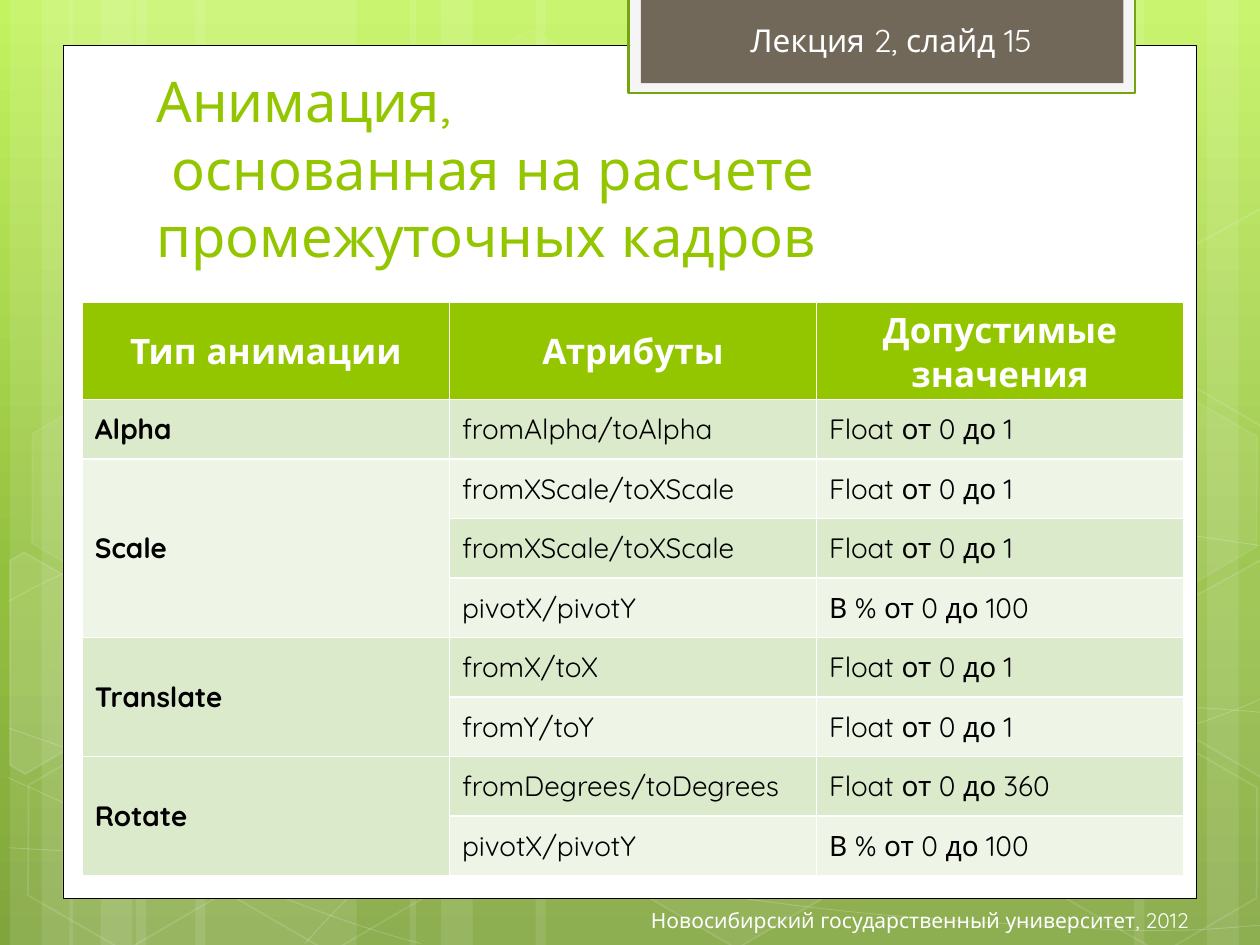
from copy import deepcopy

from pptx import Presentation
from pptx.dml.color import RGBColor
from pptx.enum.shapes import MSO_SHAPE as Shape
from pptx.enum.text import MSO_ANCHOR as Anchor, MSO_AUTO_SIZE as AutoSize, PP_ALIGN as Align
from pptx.oxml import parse_xml
from pptx.oxml.ns import nsdecls, qn
from pptx.util import Cm, Pt

rgb = RGBColor.from_string
WHITE, GREEN = "FFFFFF", "94C600"


def paint(shape, fill=None, opacity=100, line=None, width=1, line_opacity=100):
    shape.shadow.inherit = False
    for part, color in ((shape.fill, fill), (shape.line.fill, line)):
        if color:
            part.solid()
            part.fore_color.rgb = rgb(color)
        else:
            part.background()
    if line:
        shape.line.width = Pt(width)
    properties = shape.element.spPr
    for route, percent in (("a:solidFill", opacity), ("a:ln/a:solidFill", line_opacity)):
        solid = properties.find("/".join(qn(tag) for tag in route.split("/")))
        if solid is not None and percent < 100:
            solid[0].append(parse_xml(f'<a:alpha {nsdecls("a")} val="{percent * 1000}"/>'))


def write(frame, text, size, color=WHITE, bold=False, align=Align.LEFT, anchor=Anchor.TOP):
    frame.text = text
    frame.word_wrap = True
    frame.vertical_anchor = anchor
    para = frame.paragraphs[0]
    para.alignment = align
    for span in para.runs:
        span.font.name = "Quicksand"
        span.font.size = Pt(size)
        span.font.bold = bold
        span.font.color.rgb = rgb(color)


deck = Presentation()
deck.slide_width, deck.slide_height = Cm(25.4), Cm(19.05)
page = deck.slides.add_slide(deck.slide_layouts[5])
shapes = page.shapes

# Background gradient
backdrop = page.background.fill
backdrop.gradient()
backdrop.gradient_angle = 270
stop_list = page.element.find(".//" + qn("a:gsLst"))
stop_list.insert(1, deepcopy(stop_list[0]))
for stop, (position, color) in zip(
        backdrop.gradient_stops, ((0, "C3F35F"), (0.62, "93BF3F"), (1, "81A53E"))):
    stop.position = position
    stop.color.rgb = rgb(color)

# Vertical stripes: left, width
for left, width in ((2.74, 4.45), (0.2, 1.27), (0.84, 2.11), (3.94, 4.45),
                    (1.4, 1.27), (2.03, 2.11), (18.62, 4.45), (24.33, 1.27),
                    (22.86, 2.11), (10.8, 7.82), (8.26, 1.27), (8.89, 2.11)):
    stripe = shapes.add_shape(Shape.RECTANGLE, Cm(left), 0, Cm(width), deck.slide_height)
    paint(stripe, WHITE, 10)

# Waves: cubic Bezier chains in hundredths of a centimetre
WAVES = (
    ((18, 1709), (155, 1717), (292, 1725), (483, 1722), (673, 1720), (909, 1715),
     (1163, 1689), (1417, 1664), (1778, 1615), (2012, 1567), (2243, 1519),
     (2482, 1443), (2558, 1400)),
    ((18, 1212), (91, 1171), (165, 1133), (307, 1095), (452, 1057), (658, 1001),
     (881, 983), (1107, 965), (1382, 963), (1661, 983), (1941, 1003),
     (2405, 1082), (2558, 1102)),
    ((15, 1567), (323, 1707), (627, 1847), (848, 1902)),
    ((18, 1468), (97, 1496), (178, 1524), (325, 1565), (472, 1603), (693, 1666),
     (907, 1709), (1118, 1753), (1384, 1798), (1595, 1824), (1806, 1852),
     (2032, 1862), (2167, 1869), (2299, 1880), (2334, 1875), (2400, 1875),
     (2466, 1872), (2512, 1867), (2558, 1864)),
    ((615, 1902), (660, 1852), (706, 1801), (767, 1755), (828, 1709), (914, 1659),
     (986, 1623), (1057, 1588), (1100, 1572), (1194, 1547), (1285, 1521),
     (1455, 1486), (1544, 1468), (1636, 1450), (1648, 1450), (1727, 1445),
     (1806, 1438), (1930, 1430), (2017, 1427), (2106, 1425), (2250, 1427),
     (2250, 1427), (2250, 1427), (2421, 1427), (2421, 1427), (2466, 1430),
     (2510, 1433), (2532, 1435), (2555, 1438), (2548, 1435), (2555, 1438)),
)
for knots in WAVES:
    builder = shapes.build_freeform(*knots[0], scale=Cm(0.01))
    builder.add_line_segments(knots[1:], close=False)
    wave = builder.convert_to_shape()
    outline = wave.element.find(".//" + qn("a:path"))
    segments = outline.findall(qn("a:lnTo"))
    for first in range(0, len(segments), 3):  # three points make one curve
        curve = parse_xml(f'<a:cubicBezTo {nsdecls("a")}/>')
        for segment in segments[first:first + 3]:
            curve.append(segment[0])
            outline.remove(segment)
        outline.append(curve)
    paint(wave, line=WHITE, width=0.5, line_opacity=20)

# Hexagons: left, top, fill opacity, line opacity
for left, top, opacity, line_opacity in (
        (8.48, 0.91, 4, 8), (12.62, 14.96, 6, 12), (0.28, 15.01, 0, 12),
        (0.36, 7.92, 7, 8), (4.42, 15.04, 0, 12), (19.13, 11.51, 10, 12),
        (21.18, 15.06, 0, 12), (21.18, 7.98, 7, 8)):
    hexagon = shapes.add_shape(Shape.HEXAGON, Cm(left), Cm(top), Cm(4.45), Cm(3.86))
    hexagon.adjustments[0] = 0.285
    hexagon.rotation = 30
    paint(hexagon, WHITE if opacity else None, opacity, WHITE, 1, line_opacity)

# Hexagons cut by the slide edge, before their rotation
LEFT_CUT = ((-85, 1196), (-69, 1167), (156, 1166), (265, 1361), (157, 1553), (121, 1553))
RIGHT_CUT = ((2328, 1319), (2441, 1133), (2461, 1128), (2673, 1495), (2662, 1513),
             (2439, 1512))
for opacity, corners, rise in ((10, LEFT_CUT, 0), (4, RIGHT_CUT, 0), (0, RIGHT_CUT, 708)):
    corners = [(x, y - rise) for x, y in corners]
    builder = shapes.build_freeform(*corners[0], scale=Cm(0.01))
    builder.add_line_segments(corners[1:])
    hexagon = builder.convert_to_shape()
    hexagon.rotation = 30
    paint(hexagon, WHITE if opacity else None, opacity, WHITE, 1, 12)

# Sheet and lecture tab
for left, top, width, height, fill, line, weight in (
        (1.27, 0.91, 22.86, 17.2, WHITE, "000000", 0.5),
        (12.67, -0.05, 10.21, 1.93, "F5F5F5", "74A510", 1.25),
        (12.92, -0.05, 9.73, 1.73, "71685A", None, 0)):
    panel = shapes.add_shape(Shape.RECTANGLE, Cm(left), Cm(top), Cm(width), Cm(height))
    paint(panel, fill, line=line, width=weight)

title = shapes.title
title.left, title.top, title.width, title.height = Cm(2.9), Cm(3.33), Cm(19.51), Cm(2.21)
write(title.text_frame, "Анимация,\v основанная на расчете промежуточных кадров", 32,
      GREEN, anchor=Anchor.BOTTOM)
title.text_frame.auto_size = AutoSize.NONE
title.element.getparent().append(title.element)  # in front of the sheet

lecture = shapes.add_textbox(Cm(14.88), Cm(0.3), Cm(6.58), Cm(1.02))
write(lecture.text_frame, "Лекция 2, слайд 15", 18)
footer = shapes.add_textbox(Cm(7.89), Cm(18.03), Cm(16.33), Cm(1.02))
write(footer.text_frame, "Новосибирский государственный университет, 2012", 12,
      align=Align.RIGHT, anchor=Anchor.MIDDLE)

# The default table style draws the white borders
UNIT, PERCENT = "Float от 0 до 1", "В % от 0 до 100"
ROWS = (
    ("Тип анимации", "Атрибуты", "Допустимые значения"),
    ("Alpha", "fromAlpha/toAlpha", UNIT),
    ("Scale", "fromXScale/toXScale", UNIT),
    ("", "fromXScale/toXScale", UNIT),
    ("", "pivotX/pivotY", PERCENT),
    ("Translate", "fromX/toX", UNIT),
    ("", "fromY/toY", UNIT),
    ("Rotate", "fromDegrees/toDegrees", "Float от 0 до 360"),
    ("", "pivotX/pivotY", PERCENT),
)
table = shapes.add_table(len(ROWS), 3, Cm(1.66), Cm(6.1), Cm(22.2), Cm(11.54)).table
for column in table.columns:
    column.width = Cm(7.4)
for r, row in enumerate(ROWS):
    header = r == 0
    table.rows[r].height = Cm(1.94 if header else 1.2)
    for c, text in enumerate(row):
        cell = table.cell(r, c)
        cell.fill.solid()
        cell.fill.fore_color.rgb = rgb(GREEN if header else "DCEACC" if r % 2 else "EEF5E7")
        if text:
            write(cell.text_frame, text, 20 if header else 16, WHITE if header else "000000",
                  header or c == 0, Align.CENTER if header else Align.LEFT)
        cell.vertical_anchor = Anchor.MIDDLE
for first, last in ((2, 4), (5, 6), (7, 8)):
    table.cell(first, 0).merge(table.cell(last, 0))

deck.save("out.pptx")
